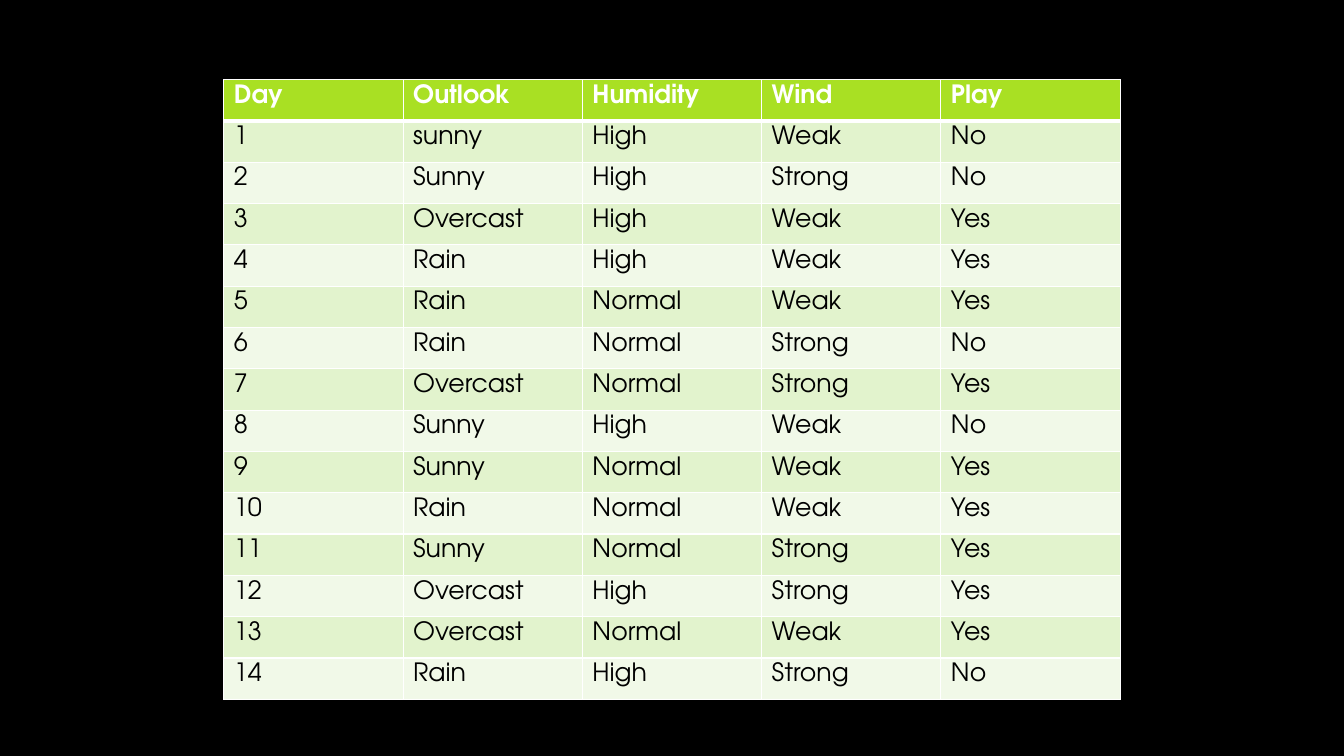
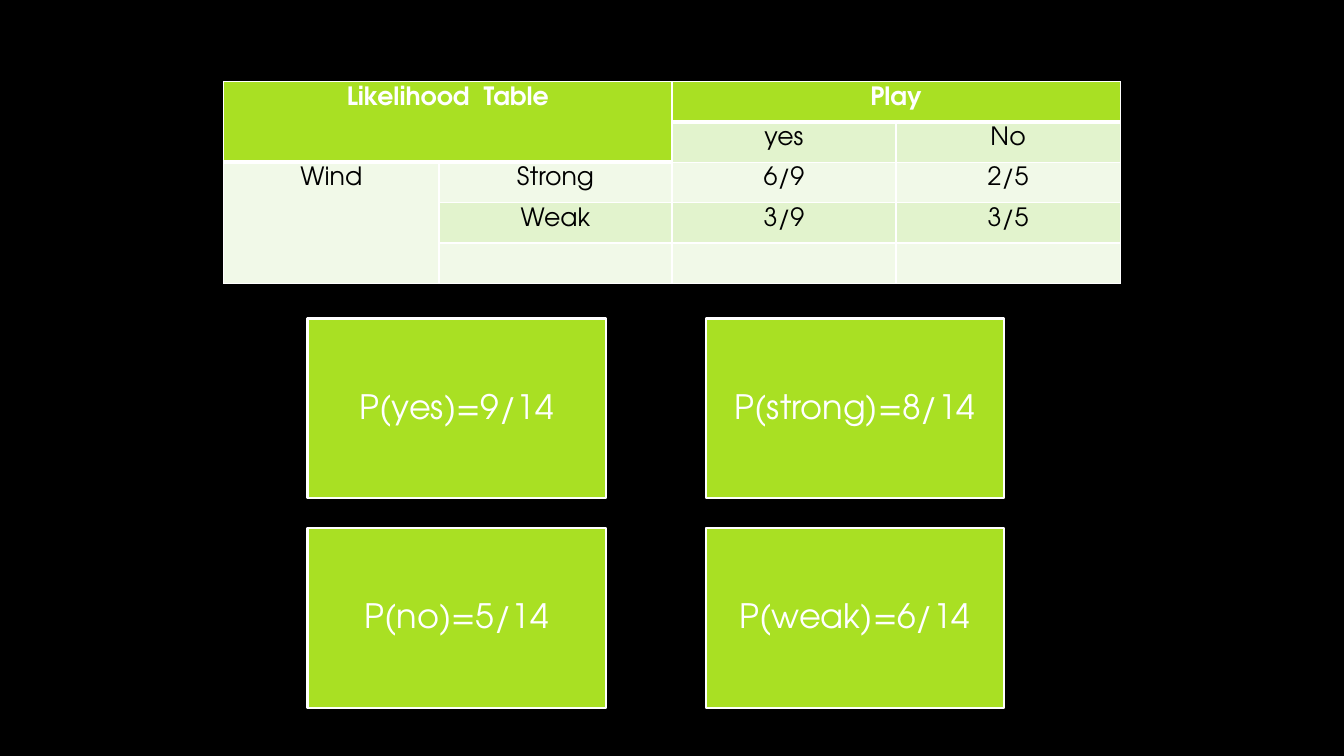
from pptx import Presentation
from pptx.dml.color import RGBColor
from pptx.enum.shapes import MSO_SHAPE as SHAPE
from pptx.enum.text import MSO_ANCHOR as ANCHOR, PP_ALIGN as ALIGN
from pptx.oxml.ns import qn
from pptx.util import Inches, Pt
from lxml.etree import SubElement

FONT = "TeX Gyre Adventor"
BLACK, WHITE, GREEN = "000000", "FFFFFF", "A9E023"
BANDS = ["F1F9E8", "E2F3CD"]
WIDTH, HEIGHT = 13.33, 7.5
TABLE_LEFT, TABLE_WIDTH = 2.22, 8.89

DAYS = [
    ("Day", "Outlook", "Humidity", "Wind", "Play"),
    ("1", "sunny", "High", "Weak", "No"),
    ("2", "Sunny", "High", "Strong", "No"),
    ("3", "Overcast", "High", "Weak", "Yes"),
    ("4", "Rain", "High", "Weak", "Yes"),
    ("5", "Rain", "Normal", "Weak", "Yes"),
    ("6", "Rain", "Normal", "Strong", "No"),
    ("7", "Overcast", "Normal", "Strong", "Yes"),
    ("8", "Sunny", "High", "Weak", "No"),
    ("9", "Sunny", "Normal", "Weak", "Yes"),
    ("10", "Rain", "Normal", "Weak", "Yes"),
    ("11", "Sunny", "Normal", "Strong", "Yes"),
    ("12", "Overcast", "High", "Strong", "Yes"),
    ("13", "Overcast", "Normal", "Weak", "Yes"),
    ("14", "Rain", "High", "Strong", "No"),
]
LIKELIHOOD = [
    ("Likelihood  Table", "", "Play", ""),
    ("", "", "yes", "No"),
    ("Wind", "Strong", "6/9", "2/5"),
    ("", "Weak", "3/9", "3/5"),
    ("", "", "", ""),
]
LIKELIHOOD_SPANS = [((0, 0), (1, 1)), ((0, 2), (0, 3)), ((2, 0), (4, 0))]
PROBABILITIES = [
    ("P(yes)=9/14", "P(strong)=8/14"),
    ("P(no)=5/14", "P(weak)=6/14"),
]


def rgb(color):
    return RGBColor.from_string(color)


def style_paragraph(p, size, color, align, bold=False):
    p.alignment = align
    p.font.name, p.font.size, p.font.bold = FONT, Pt(size), bold
    p.font.color.rgb = rgb(color)


def set_borders(cell, bottom):
    tc_pr = cell._tc.get_or_add_tcPr()
    for i, (side, width) in enumerate([("L", 1), ("R", 1), ("T", 1), ("B", bottom)]):
        ln = SubElement(tc_pr, qn(f"a:ln{side}"), w=str(Pt(width)))
        fill = SubElement(ln, qn("a:solidFill"))
        SubElement(fill, qn("a:srgbClr"), val=WHITE)
        tc_pr.insert(i, ln)


def add_slide(prs):
    s = prs.slides.add_slide(prs.slide_layouts[6])
    s.background.fill.solid()
    s.background.fill.fore_color.rgb = rgb(BLACK)
    return s


def add_grid(s, rows, top, row_height, col_shares, align, spans=()):
    table = s.shapes.add_table(
        len(rows), len(col_shares), Inches(TABLE_LEFT), Inches(top),
        Inches(TABLE_WIDTH), Inches(row_height * len(rows))).table
    table.horz_banding = False
    for col, share in zip(table.columns, col_shares):
        col.width = Inches(TABLE_WIDTH * share)
    for start, end in spans:
        table.cell(*start).merge(table.cell(*end))
    for r, texts in enumerate(rows):
        header = r == 0
        for c, text in enumerate(texts):
            cell = table.cell(r, c)
            if cell.is_spanned:
                continue
            cell.text = text
            cell.fill.solid()
            cell.fill.fore_color.rgb = rgb(GREEN if header else BANDS[r % 2])
            set_borders(cell, 3 if header else 1)
            style_paragraph(cell.text_frame.paragraphs[0], 18,
                            WHITE if header else BLACK, align, header)


def add_box(s, text, left, top, width, height):
    sp = s.shapes.add_shape(SHAPE.RECTANGLE, Inches(left), Inches(top),
                            Inches(width), Inches(height))
    sp.shadow.inherit = False
    sp.fill.solid()
    sp.fill.fore_color.rgb = rgb(GREEN)
    sp.line.color.rgb = rgb(WHITE)
    sp.line.width = Pt(1.5)
    tf = sp.text_frame
    tf.word_wrap = True
    tf.vertical_anchor = ANCHOR.MIDDLE
    tf.margin_left = tf.margin_right = tf.margin_top = tf.margin_bottom = Inches(0.1)
    p = tf.paragraphs[0]
    p.text = text
    p.line_spacing = 0.9
    style_paragraph(p, 24, WHITE, ALIGN.CENTER)


def add_boxes(s, left=3.05, top=3.16, width=2.96, height=1.78, col_step=3.95, row_step=2.08):
    for r, texts in enumerate(PROBABILITIES):
        for c, text in enumerate(texts):
            add_box(s, text, left + c * col_step, top + r * row_step, width, height)


def main():
    prs = Presentation()
    prs.slide_width, prs.slide_height = Inches(WIDTH), Inches(HEIGHT)
    add_grid(add_slide(prs), DAYS, 0.79, 0.41, [1 / 5] * 5, ALIGN.LEFT)
    s = add_slide(prs)
    add_grid(s, LIKELIHOOD, 0.81, 0.4, [0.24, 0.26, 0.25, 0.25], ALIGN.CENTER,
             LIKELIHOOD_SPANS)
    add_boxes(s)
    prs.save("out.pptx")


if __name__ == "__main__":
    main()
